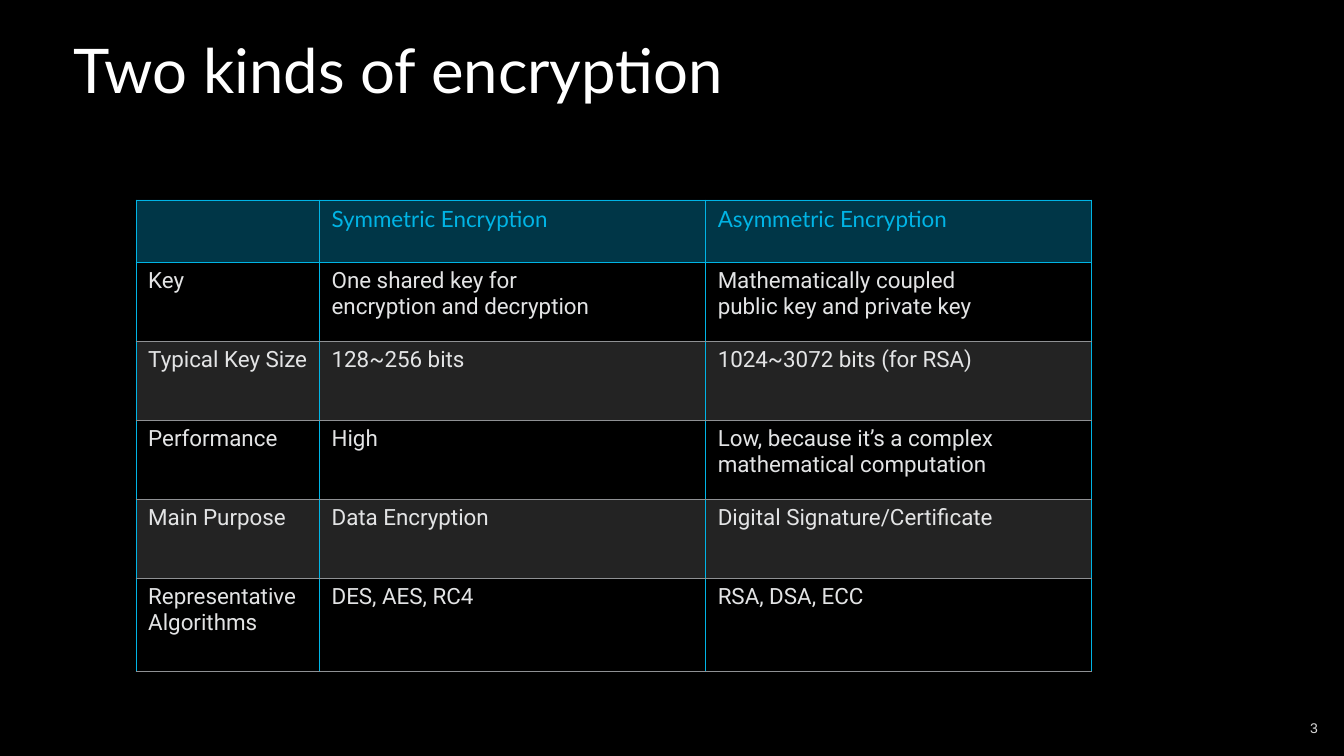
from lxml import etree
from pptx import Presentation
from pptx.dml.color import RGBColor
from pptx.enum.text import MSO_ANCHOR, PP_ALIGN
from pptx.oxml.ns import qn
from pptx.util import Inches, Pt

LEFT, RIGHT = PP_ALIGN.LEFT, PP_ALIGN.RIGHT
TOP, MIDDLE = MSO_ANCHOR.TOP, MSO_ANCHOR.MIDDLE
TITLE_ONLY = 5

COLORS = {
    "background": "000000", "title": "FFFFFF", "number": "D9D9D9",
    "accent": "00B4E5", "header": "00B3ED", "band": "EEEEEF",
    "body": "E3E4E5", "rule": "8F9194",
}
HEADING_FONT, BODY_FONT, NUMBER_FONT = "Lato", "Roboto", "Arial"

# Column widths and row heights are percentages of the slide's size.
COLUMN_WIDTHS = [13.65, 28.73, 28.73]
ROW_HEIGHTS = [8.27] + [10.45] * 4 + [12.33]
ROWS = [
    ["", "Symmetric Encryption", "Asymmetric Encryption"],
    ["Key", "One shared key for\nencryption and decryption",
     "Mathematically coupled\npublic key and private key"],
    ["Typical Key Size", "128~256 bits", "1024~3072 bits (for RSA)"],
    ["Performance", "High", "Low, because it’s a complex mathematical computation"],
    ["Main Purpose", "Data Encryption", "Digital Signature/Certificate"],
    ["Representative Algorithms", "DES, AES, RC4", "RSA, DSA, ECC"],
]


def rgb(name):
    return RGBColor.from_string(COLORS[name])


class Deck:
    def __init__(self):
        self.prs = Presentation()
        self.prs.slide_width, self.prs.slide_height = Inches(13.33), Inches(7.5)
        self.s = self.prs.slides.add_slide(self.prs.slide_layouts[TITLE_ONLY])
        self.s.background.fill.solid()
        self.s.background.fill.fore_color.rgb = rgb("background")

    def x(self, share):
        return round(self.prs.slide_width * share / 100)

    def y(self, share):
        return round(self.prs.slide_height * share / 100)

    def box(self, left, top, width, height):
        return self.x(left), self.y(top), self.x(width), self.y(height)

    def set_text(self, tf, text, size, font, color, align=LEFT):
        p = tf.paragraphs[0]
        p.text = text
        p.alignment = align
        p.font.size = Pt(size)
        for r in p.runs:
            r.font.size, r.font.name = Pt(size), font
            r.font.color.rgb = rgb(color)

    def title(self, text, *area):
        sp = self.s.shapes.title
        sp.left, sp.top, sp.width, sp.height = self.box(*area)
        tf = sp.text_frame
        tf.word_wrap, tf.vertical_anchor = False, TOP
        self.set_text(tf, text, 44, HEADING_FONT, "title")

    def slide_number(self, text, *area):
        tf = self.s.shapes.add_textbox(*self.box(*area)).text_frame
        tf.word_wrap, tf.vertical_anchor = True, MIDDLE
        self.set_text(tf, text, 10, NUMBER_FONT, "number", RIGHT)

    def fill(self, cell, color, opacity):
        cell.fill.solid()
        cell.fill.fore_color.rgb = rgb(color)
        clr = cell._tc.tcPr.find(qn("a:solidFill"))[0]
        etree.SubElement(clr, qn("a:alpha"), val=str(opacity * 1000))

    def borders(self, cell, **sides):
        """Draw each side (L, R, T, B) as a (colour, points) line."""
        tcPr = cell._tc.get_or_add_tcPr()
        for i, side in enumerate("LRTB"):
            color, width = sides[side]
            ln = etree.Element(qn(f"a:ln{side}"), w=str(Pt(width)))
            line_fill = etree.SubElement(ln, qn("a:solidFill"))
            etree.SubElement(line_fill, qn("a:srgbClr"), val=COLORS[color])
            tcPr.insert(i, ln)

    def table(self, left, top, widths, heights, rows):
        area = self.box(left, top, sum(widths), sum(heights))
        table = self.s.shapes.add_table(len(rows), len(widths), *area).table
        table.first_row = table.horz_banding = False
        for column, width in zip(table.columns, widths):
            column.width = self.x(width)
        for row, height in zip(table.rows, heights):
            row.height = self.y(height)
        for i, texts in enumerate(rows):
            for j, text in enumerate(texts):
                self.cell(table.cell(i, j), i, text)

    def cell(self, cell, row, text):
        accent, rule = ("accent", 0.75), ("rule", 0.23)
        cell.margin_left, cell.margin_right = Inches(0.12), Inches(0.09)
        cell.margin_top = cell.margin_bottom = Inches(0.05)
        if row == 0:
            self.set_text(cell.text_frame, text, 16, HEADING_FONT, "accent")
            self.fill(cell, "header", 30)
        else:
            self.set_text(cell.text_frame, text, 16, BODY_FONT, "body")
            if row % 2:
                cell.fill.background()
            else:
                self.fill(cell, "band", 15)
        self.borders(cell, L=accent, R=accent,
                     T=accent if row < 2 else rule,
                     B=accent if row == 0 else rule)


def main():
    deck = Deck()
    deck.slide_number("3", 76.3, 93.6, 22.5, 5.33)
    deck.title("Two kinds of encryption", 4.73, 3.6, 55.66, 11.07)
    deck.table(10.13, 26.45, COLUMN_WIDTHS, ROW_HEIGHTS, ROWS)
    deck.prs.save("out.pptx")


if __name__ == "__main__":
    main()
